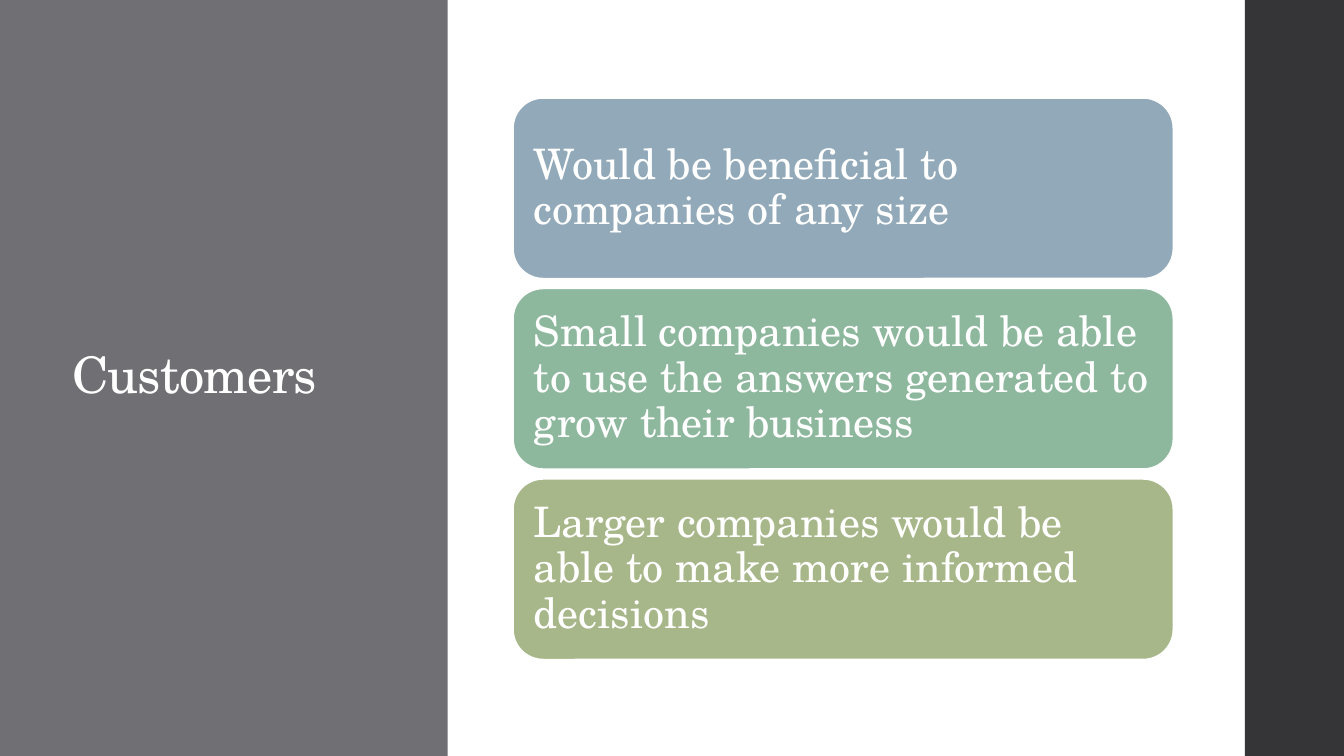
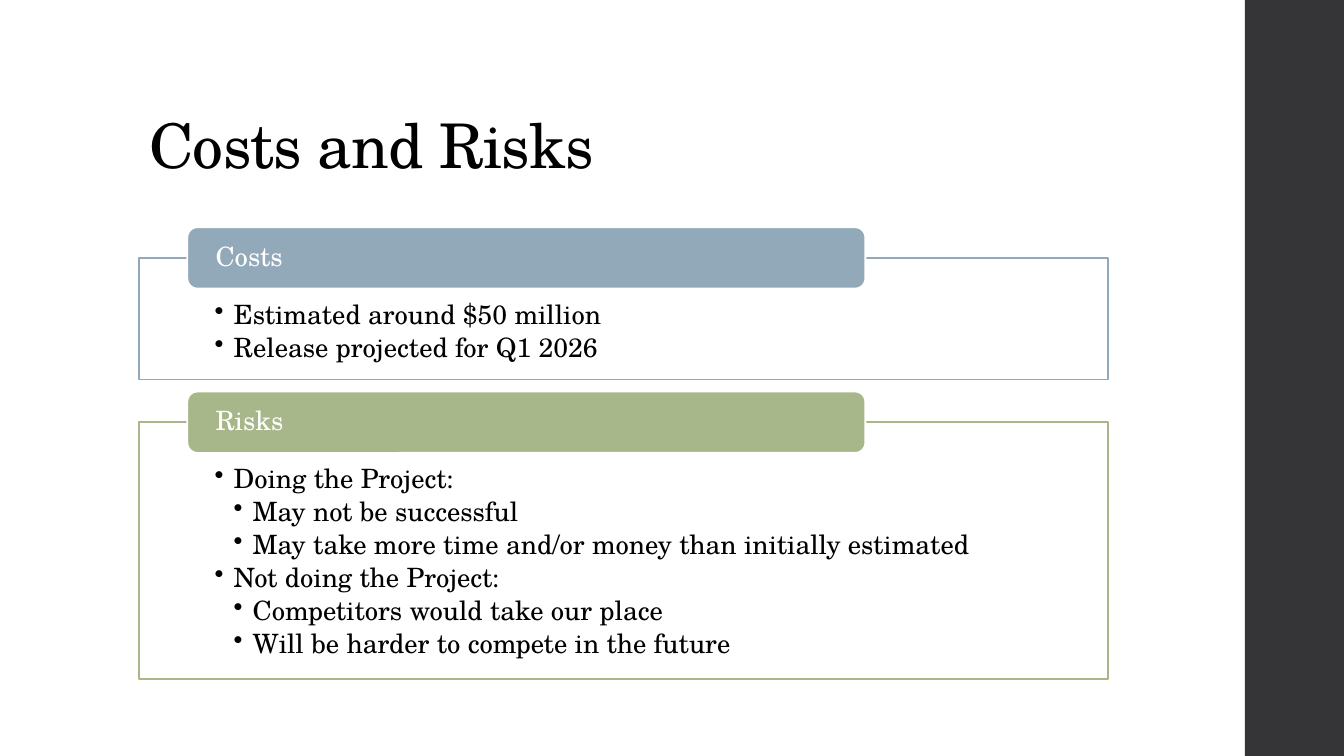
"""Build two slides on customers and on costs and risks."""
import pptx
import pptx.dml.color
import pptx.enum.shapes
import pptx.enum.text
import pptx.oxml
import pptx.oxml.ns
import pptx.util
from lxml import etree

Cm = pptx.util.Cm
Pt = pptx.util.Pt
qn = pptx.oxml.ns.qn
SHAPES = pptx.enum.shapes.MSO_SHAPE
ANCHOR = pptx.enum.text.MSO_ANCHOR
ALIGN = pptx.enum.text.PP_ALIGN

COLORS = {
    "white": "FFFFFF", "black": "000000", "panel": "6F6F74", "band": "353537",
    "blue": "92A9B9", "green": "8EB89E", "olive": "A7B789",
}
FONT = "TeX Gyre Schola"
WIDTH, HEIGHT = 33.87, 19.05
BAND_LEFT = 31.37
PANEL_WIDTH = 11.28

CUSTOMERS_TITLE = "Customers"
CUSTOMERS = [
    ("blue", "Would be beneficial to companies of any size"),
    ("green", "Small companies would be able to use the answers generated to grow their business"),
    ("olive", "Larger companies would be able to make more informed decisions"),
]

RISKS_TITLE = "Costs and Risks"
SECTIONS = [
    ("Costs", "blue", [
        (0, "Estimated around $50 million"),
        (0, "Release projected for Q1 2026"),
    ]),
    ("Risks", "olive", [
        (0, "Doing the Project:"),
        (1, "May not be successful"),
        (1, "May take more time and/or money than initially estimated"),
        (0, "Not doing the Project:"),
        (1, "Competitors would take our place"),
        (1, "Will be harder to compete in the future"),
    ]),
]


def rgb(name):
    return pptx.dml.color.RGBColor.from_string(COLORS[name])


def add_block(slide, kind, box, fill, line=None, weight=1.1):
    block = slide.shapes.add_shape(kind, *map(Cm, box))
    block.shadow.inherit = False
    block.fill.solid()
    block.fill.fore_color.rgb = rgb(fill)
    if line:
        block.line.color.rgb = rgb(line)
        block.line.width = Pt(weight)
    else:
        block.line.fill.background()
    return block


def write(shape, lines, size, color, anchor, margins):
    frame = shape.text_frame
    frame.text = "\n".join(lines)
    frame.word_wrap = True
    frame.auto_size = pptx.enum.text.MSO_AUTO_SIZE.NONE
    frame.vertical_anchor = anchor
    (frame.margin_left, frame.margin_top,
     frame.margin_right, frame.margin_bottom) = map(Cm, margins)
    for paragraph in frame.paragraphs:
        paragraph.alignment = ALIGN.LEFT
        paragraph.line_spacing = 0.9
        for run in paragraph.runs:
            run.font.name = FONT
            run.font.size = Pt(size)
            run.font.color.rgb = rgb(color)


def add_bullets(shape, levels):
    step = Cm(0.48)
    nodes = shape.element.iter(qn("a:p"))
    for paragraph, node, level in zip(shape.text_frame.paragraphs, nodes, levels):
        paragraph.level = level
        paragraph.space_after = Pt(3)
        properties = node.get_or_add_pPr()
        properties.set("marL", str(step * (level + 1)))
        properties.set("indent", str(-step))
        etree.SubElement(properties, qn("a:buChar"), char="•")


def add_titled_slide(deck, text, box, size, color, anchor):
    slide = deck.slides.add_slide(deck.slide_layouts[5])
    title = slide.shapes.title
    title.left, title.top, title.width, title.height = map(Cm, box)
    write(title, [text], size, color, anchor, (0.25, 0.13, 0.25, 0.13))
    for properties in title.element.iter(qn("a:rPr")):
        properties.set("spc", "-50")
    return slide


def add_band_to_master(deck, slide):
    band = add_block(slide, SHAPES.RECTANGLE,
                     (BAND_LEFT, 0, WIDTH - BAND_LEFT, HEIGHT), "band")
    band.element.nvSpPr.cNvPr.set("id", "20")
    deck.slide_master.shapes[0].element.addprevious(band.element)


def build_customers(deck):
    slide = add_titled_slide(deck, CUSTOMERS_TITLE, (1.57, 2.31, 7.54, 14.4),
                             36, "white", ANCHOR.MIDDLE)
    add_band_to_master(deck, slide)
    panel = add_block(slide, SHAPES.RECTANGLE, (0, 0, PANEL_WIDTH, HEIGHT), "panel")
    slide.shapes.title.element.addprevious(panel.element)
    top, height, gap = 2.47, 4.55, 0.25
    for index, (color, text) in enumerate(CUSTOMERS):
        card = add_block(slide, SHAPES.ROUNDED_RECTANGLE,
                         (12.93, top + index * (height + gap), 16.64, height),
                         color, "white")
        write(card, [text], 30, "white", ANCHOR.MIDDLE, [0.3] * 4)


def build_costs_and_risks(deck):
    slide = add_titled_slide(deck, RISKS_TITLE, (3.51, 1.02, 26.92, 3.68),
                             44, "black", ANCHOR.BOTTOM)
    top, gap, label_height = 6.5, 1.07, 1.55
    for heading, color, points in SECTIONS:
        levels, lines = zip(*points)
        height = 1.37 + 0.85 * len(points)
        details = add_block(slide, SHAPES.RECTANGLE, (3.51, top, 24.41, height),
                            "white", color)
        write(details, lines, 19, "black", ANCHOR.TOP, (1.9, 1.09, 1.9, 0.38))
        add_bullets(details, levels)
        label = add_block(slide, SHAPES.ROUNDED_RECTANGLE,
                          (4.72, top - label_height / 2, 17.09, label_height),
                          color, "white", 1.35)
        write(label, [heading], 19, "white", ANCHOR.MIDDLE, (0.64, 0, 0.64, 0))
        top += height + gap


def main():
    deck = pptx.Presentation()
    deck.slide_width, deck.slide_height = Cm(WIDTH), Cm(HEIGHT)
    build_customers(deck)
    build_costs_and_risks(deck)
    deck.save("out.pptx")


if __name__ == "__main__":
    main()
